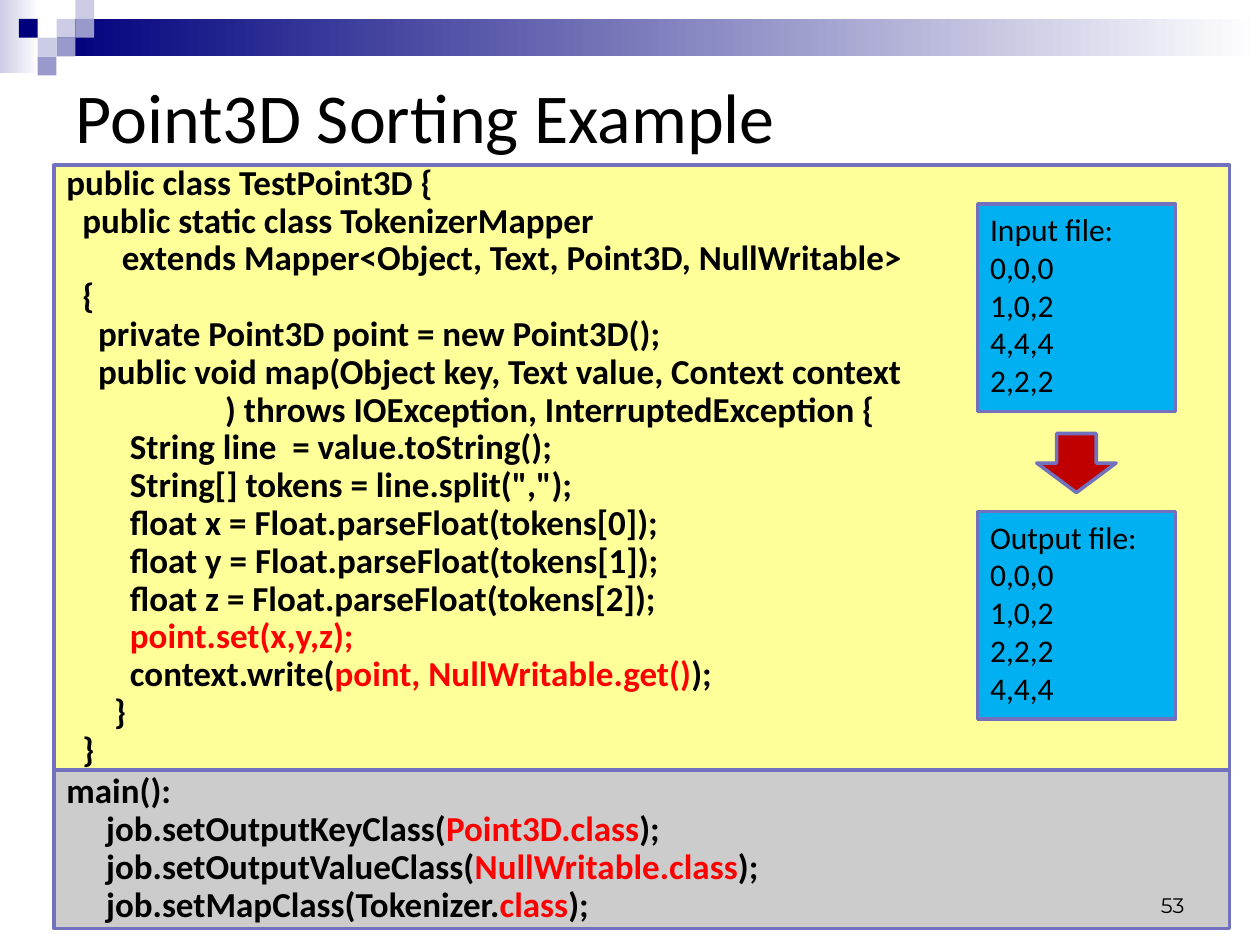
from pptx import Presentation
from pptx.dml.color import RGBColor
from pptx.enum.shapes import MSO_SHAPE as Shape
from pptx.enum.text import MSO_ANCHOR as Anchor, MSO_AUTO_SIZE as AutoSize, PP_ALIGN as Align
from pptx.util import Cm, Pt

hex_color = RGBColor.from_string
BLACK, RED = "000000", "FF0000"
NAVY, LILAC, PALE, WHITE = "00007D", "9999CC", "CCCCE6", "FFFFFF"
BORDER = "7171BD"
SPACE = 0.16  # width in cm of one space of code indent


def add_box(kind, left, top, width, height, fill, line=None):
    """Add a shape; a pair of colours as fill makes a left-to-right gradient."""
    box = page.shapes.add_shape(kind, Cm(left), Cm(top), Cm(width), Cm(height))
    box.shadow.inherit = False
    if isinstance(fill, tuple):
        box.fill.gradient()
        box.fill.gradient_angle = 0
        for stop, color in zip(box.fill.gradient_stops, fill):
            stop.color.rgb = hex_color(color)
    else:
        box.fill.solid()
        box.fill.fore_color.rgb = hex_color(fill)
    if line:
        box.line.color.rgb = hex_color(line)
        box.line.width = Pt(2)
    else:
        box.line.fill.background()
    return box


def write_lines(box, lines, size, anchor, bold=False, spacing=1.0, align=Align.LEFT, font="Calibri"):
    """Write one paragraph a line; leading spaces become an indent, |...| is red."""
    frame = box.text_frame
    frame.word_wrap = True
    frame.auto_size = AutoSize.NONE
    frame.vertical_anchor = anchor
    for index, line in enumerate(lines):
        para = frame.add_paragraph() if index else frame.paragraphs[0]
        para.alignment = align
        para.line_spacing = spacing
        text = line.lstrip()
        indent = len(line) - len(text)
        if indent:
            para._p.get_or_add_pPr().set("marL", str(Cm(indent * SPACE)))
        for number, part in enumerate(text.split("|")):
            if part:
                span = para.add_run()
                span.text = part
                span.font.name = font
                span.font.size = Pt(size)
                span.font.bold = bold
                span.font.color.rgb = hex_color(RED if number % 2 else BLACK)


deck = Presentation()
deck.slide_width, deck.slide_height = Cm(25.4), Cm(19.05)
page = deck.slides.add_slide(deck.slide_layouts[5])

# Header decoration: two gradient bands and squares on a grid
add_box(Shape.RECTANGLE, 0, 0, 0.79, 1.47, (PALE, WHITE))
add_box(Shape.RECTANGLE, 1.14, 0.38, 24.26, 0.76, (NAVY, WHITE))
SQUARE = 0.38
squares = [
    (3, 1, PALE), (4, 0, PALE), (4, 1, LILAC), (2, 2, PALE),
    (1, 1, NAVY), (3, 2, LILAC), (2, 3, LILAC),
]
for column, row, color in squares:
    add_box(Shape.RECTANGLE, column * SQUARE, row * SQUARE, SQUARE, SQUARE, color)

title = page.shapes.title
title.left, title.top, title.width, title.height = Cm(1.27), Cm(1.27), Cm(22.86), Cm(2.11)
write_lines(title, ["Point3D Sorting Example"], 40, Anchor.MIDDLE)

# Code panels
mapper_code = [
    "public class TestPoint3D {",
    "  public static class TokenizerMapper",
    "       extends Mapper<Object, Text, Point3D, NullWritable>",
    "  {",
    "    private Point3D point = new Point3D();",
    "    public void map(Object key, Text value, Context context",
    "                    ) throws IOException, InterruptedException {",
    "        String line  = value.toString();",
    '        String[] tokens = line.split(",");',
    "        float x = Float.parseFloat(tokens[0]);",
    "        float y = Float.parseFloat(tokens[1]);",
    "        float z = Float.parseFloat(tokens[2]);",
    "        |point.set(x,y,z);|",
    "        context.write(|point, NullWritable.get()|);",
    "      }",
    "  }",
]
main_code = [
    "main():",
    "     job.setOutputKeyClass(|Point3D.class|);",
    "     job.setOutputValueClass(|NullWritable.class|);",
    "     job.setMapClass(Tokenizer.|class|);",
]
for top, height, fill, code in [
    (3.33, 12.19, "FFFF99", mapper_code),
    (15.52, 3.2, "CCCCCC", main_code),
]:
    panel = add_box(Shape.RECTANGLE, 1.09, top, 23.7, height, fill, BORDER)
    write_lines(panel, code, 20, Anchor.MIDDLE, bold=True, spacing=0.9)

# Input and output files
for top, lines in [
    (4.11, ["Input file:", "0,0,0", "1,0,2", "4,4,4", "2,2,2"]),
    (10.31, ["Output file:", "0,0,0", "1,0,2", "2,2,2", "4,4,4"]),
]:
    file_box = add_box(Shape.RECTANGLE, 19.71, top, 3.99, 4.19, "00B0F0", BORDER)
    write_lines(file_box, lines, 18, Anchor.TOP)
add_box(Shape.DOWN_ARROW, 20.9, 8.74, 1.6, 1.19, "C00000", BORDER)

page_number = page.shapes.add_textbox(Cm(18.21), Cm(17.35), Cm(5.92), Cm(1.27))
write_lines(page_number, ["53"], 12, Anchor.BOTTOM, align=Align.RIGHT, font="Montserrat")

deck.save("out.pptx")
